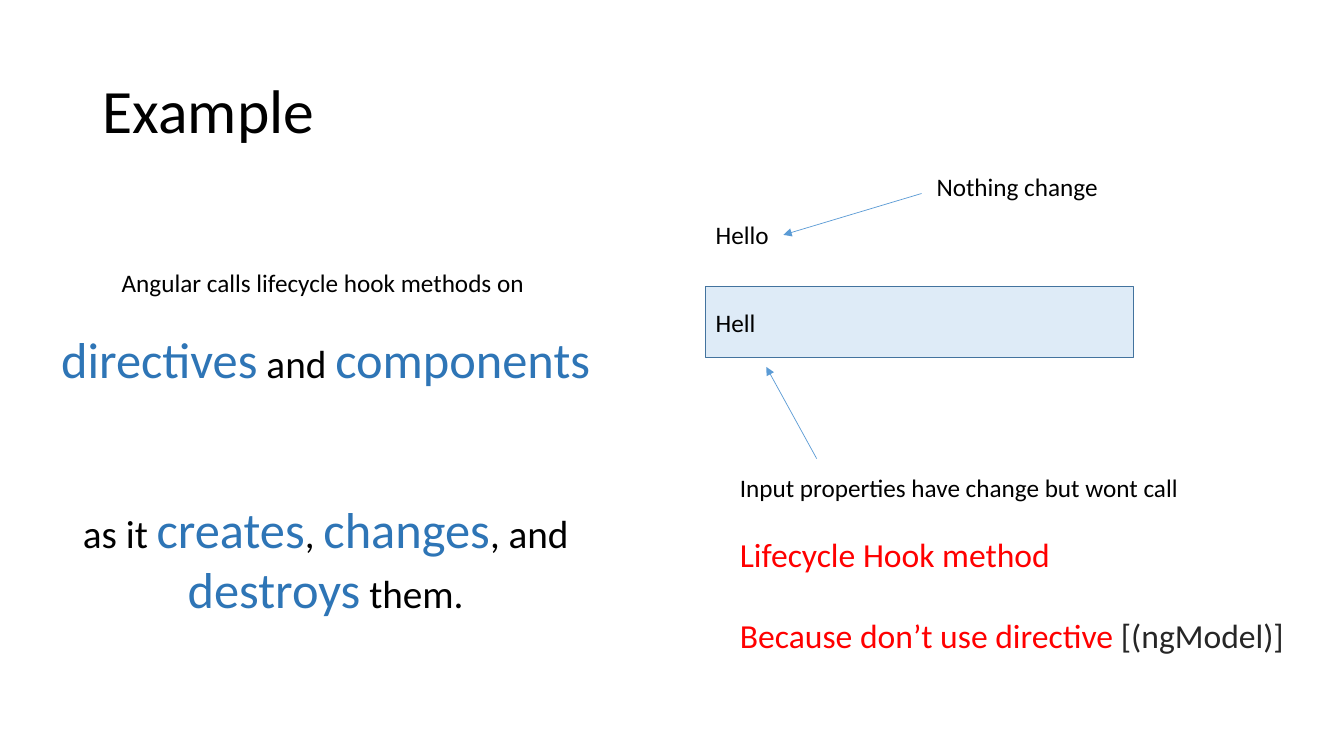
import pptx
import pptx.dml.color
import pptx.enum.shapes
import pptx.enum.text
import pptx.oxml.ns
import pptx.util
from lxml import etree

Inches = pptx.util.Inches
Pt = pptx.util.Pt
ALIGN = pptx.enum.text.PP_ALIGN
ANCHOR = pptx.enum.text.MSO_ANCHOR

COLORS = {
    "text": "000000",
    "code": "262626",
    "keyword": "2E75B6",
    "warning": "FF0000",
    "field": "DEEBF7",
    "border": "43739E",
    "arrow": "5B9BD5",
}


class ExampleSlide:
    font = "Calibri"

    def __init__(self, slide):
        self.slide = slide

    def color(self, name):
        return pptx.dml.color.RGBColor.from_string(COLORS[name])

    def add_runs(self, frame, paragraphs, align=ALIGN.LEFT, anchor=ANCHOR.TOP, wrap=True, spacing=1.0):
        frame.word_wrap = wrap
        frame.vertical_anchor = anchor
        for index, (before, runs) in enumerate(paragraphs):
            paragraph = frame.add_paragraph() if index else frame.paragraphs[0]
            paragraph.alignment = align
            paragraph.line_spacing = spacing
            paragraph.space_before = Pt(before)
            for words, size, color in runs:
                run = paragraph.add_run()
                run.text = words
                run.font.name = self.font
                run.font.size = Pt(size)
                run.font.color.rgb = self.color(color)

    def text(self, left, top, width, height, paragraphs, **style):
        box = self.slide.shapes.add_textbox(Inches(left), Inches(top), Inches(width), Inches(height))
        self.add_runs(box.text_frame, paragraphs, **style)

    def label(self, left, top, width, words):
        self.text(left, top, width, 0.4, [(0, [(words, 18, "text")])], wrap=False)

    def input_field(self, left, top, width, height, value):
        field = self.slide.shapes.add_shape(
            pptx.enum.shapes.MSO_SHAPE.RECTANGLE,
            Inches(left), Inches(top), Inches(width), Inches(height))
        field.shadow.inherit = False
        field.fill.solid()
        field.fill.fore_color.rgb = self.color("field")
        field.line.color.rgb = self.color("border")
        field.line.width = Pt(1)
        self.add_runs(field.text_frame, [(0, [(value, 18, "text")])], anchor=ANCHOR.MIDDLE)

    def arrow(self, start, end):
        arrow = self.slide.shapes.add_connector(
            pptx.enum.shapes.MSO_CONNECTOR.STRAIGHT,
            *(Inches(length) for length in (*start, *end)))
        arrow.line.color.rgb = self.color("arrow")
        arrow.line.width = Pt(0.5)
        qn = pptx.oxml.ns.qn
        properties = arrow.element.spPr
        etree.SubElement(properties.get_or_add_ln(), qn("a:tailEnd"), type="triangle")
        etree.SubElement(properties, qn("a:effectLst"))


def main():
    deck = pptx.Presentation()
    deck.slide_width = Inches(13.33)
    deck.slide_height = Inches(7.5)
    example = ExampleSlide(deck.slides.add_slide(deck.slide_layouts[6]))

    example.text(0.92, 0.4, 11.5, 1.45, [(0, [("Example", 44, "text")])],
                 anchor=ANCHOR.MIDDLE, spacing=0.9)

    example.text(7.24, 4.64, 5.66, 1.92, [
        (0, [("Input properties have change but wont call ", 18, "text")]),
        (22, [("Lifecycle Hook method", 24, "warning")]),
        (29.3, [("Because don’t use directive ", 24, "warning"), ("[(ngModel)]", 24, "code")]),
    ], wrap=False)

    example.input_field(7, 2.84, 4.24, 0.71, "Hell")
    example.label(7, 2.13, 0.73, "Hello")
    example.arrow((8.1, 4.55), (7.6, 3.64))
    example.arrow((9.14, 1.92), (7.77, 2.33))
    example.label(9.19, 1.65, 1.82, "Nothing change")

    example.text(0.22, 2.6, 6.02, 3.6, [
        (0, [("Angular calls lifecycle hook methods on ", 18, "text")]),
        (22, [("directives", 36, "keyword"), (" and ", 28, "text"), ("components", 36, "keyword")]),
        (78, [("as it ", 28, "text"), ("creates", 36, "keyword"), (", ", 28, "text"),
              ("changes", 36, "keyword"), (", and ", 28, "text"),
              ("destroys", 36, "keyword"), (" them.", 28, "text")]),
    ], align=ALIGN.CENTER)

    deck.save("out.pptx")


if __name__ == "__main__":
    main()
